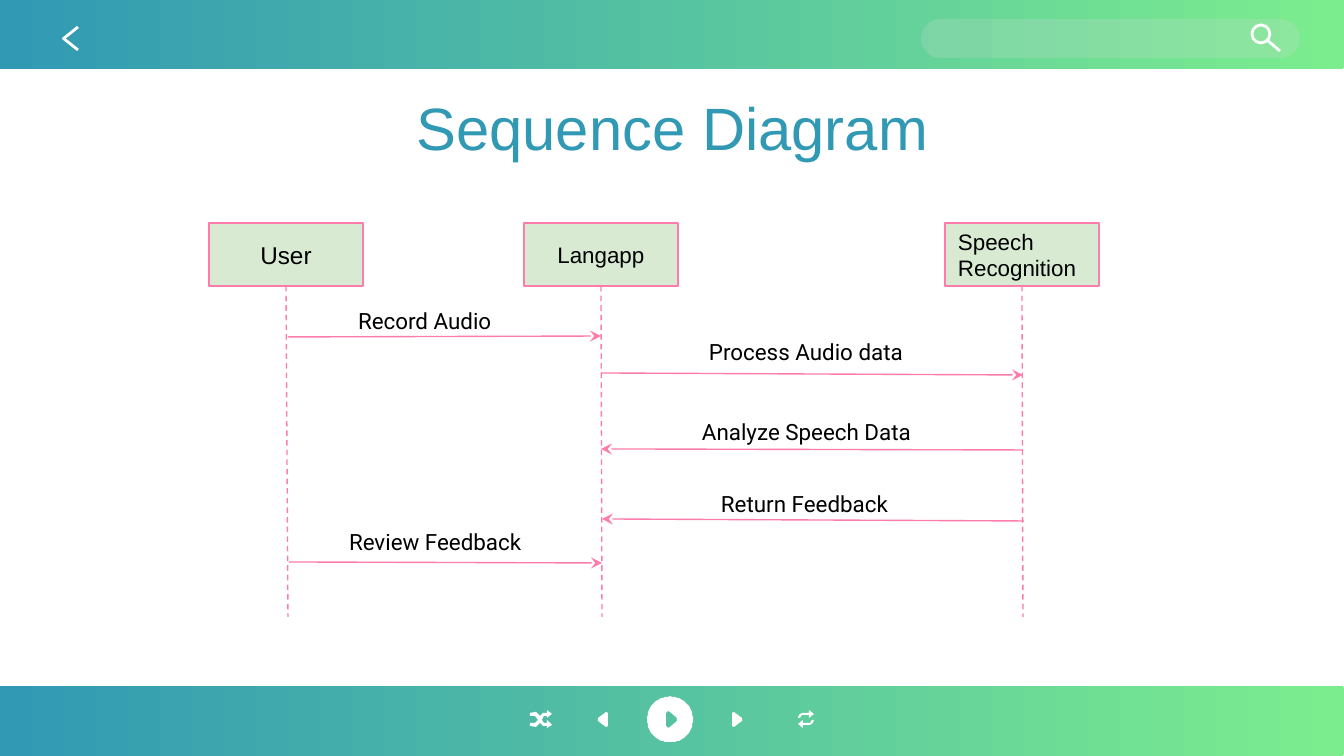
import math
import pptx
import pptx.util
import pptx.dml.color
import pptx.enum.dml
import pptx.enum.shapes
import pptx.enum.text
import pptx.oxml
import pptx.oxml.ns
import pptx.oxml.xmlchemy

PX = 9144000 / 1344
WHITE, PINK, BLACK, TEAL = "FEFEFE", "FF7BAB", "000000", "3199B4"
SHAPE = pptx.enum.shapes.MSO_SHAPE
ANCHOR = pptx.enum.text.MSO_ANCHOR
ALIGN = pptx.enum.text.PP_ALIGN
STRAIGHT = pptx.enum.shapes.MSO_CONNECTOR.STRAIGHT
qn = pptx.oxml.ns.qn
new_element = pptx.oxml.xmlchemy.OxmlElement


def px(*lengths):
    return [pptx.util.Emu(round(length * PX)) for length in lengths]


def rgb(value):
    return pptx.dml.color.RGBColor.from_string(value)


deck = pptx.Presentation()
deck.slide_width, deck.slide_height = px(1344, 756)
slide = deck.slides.add_slide(deck.slide_layouts[5])
shapes = slide.shapes

for bar_top in (-1, 686):
    bar = shapes.add_shape(SHAPE.ROUNDED_RECTANGLE, *px(0, bar_top, 1344, 70))
    bar.adjustments[0] = 0.03
    bar.shadow.inherit = False
    bar.line.fill.background()
    bar.fill.gradient()
    bar.fill.gradient_angle = 180
    for stop, shade in zip(bar.fill.gradient_stops, ("7CED8E", TEAL)):
        stop.color.rgb = rgb(shade)

search_field = shapes.add_shape(SHAPE.ROUNDED_RECTANGLE, *px(921, 19, 379, 39))
search_field.adjustments[0] = 0.5
search_field.shadow.inherit = False
search_field.line.fill.background()
search_field.fill.solid()
search_field.fill.fore_color.rgb = rgb("D9D9D9")
alpha = new_element("a:alpha")
alpha.set("val", "21000")
search_field._element.spPr.find(".//" + qn("a:srgbClr")).append(alpha)

lens = shapes.add_shape(SHAPE.OVAL, *px(1252, 25, 18, 18))
lens.shadow.inherit = False
lens.fill.background()
lens.line.color.rgb = rgb(WHITE)
lens.line.width = pptx.util.Pt(1.5)

previous = [(606, 712), (608, 713), (608, 726), (606, 727), (598, 721), (598, 718)]
following = [(1340 - x, y) for x, y in previous]
play_disc = [(670 + 23 * math.cos(math.radians(a)), 719.5 + 23 * math.sin(math.radians(a)))
             for a in range(0, 360, 6)]
play_mark = [(666, 713), (668, 711), (670, 712), (677, 718),
             (677, 721), (670, 727), (668, 728), (666, 726)]
repeat_top = [(809, 710), (814, 714), (809, 718), (809, 715), (802, 715),
              (800, 718), (798, 718), (799, 715), (802, 713), (809, 713)]
repeat_bottom = [(1612 - x, 1438 - y) for x, y in repeat_top]
shuffle = [(547, 710), (552, 714), (547, 718), (547, 716), (544, 716), (542, 720),
           (544, 723), (547, 723), (547, 720), (552, 725), (547, 728), (547, 726),
           (543, 726), (540, 723), (536, 727), (530, 726), (530, 723), (535, 723),
           (538, 720), (535, 716), (530, 716), (530, 713), (536, 712), (540, 716),
           (543, 713), (547, 713)]
for outlines in ([shuffle], [previous], [play_disc, play_mark], [following],
                 [repeat_top], [repeat_bottom]):
    builder = shapes.build_freeform(*outlines[0][0], scale=PX)
    builder.add_line_segments(outlines[0][1:], close=True)
    for hole in outlines[1:]:
        builder.move_to(*hole[0])
        builder.add_line_segments(hole[1:], close=True)
    control = builder.convert_to_shape()
    control.shadow.inherit = False
    control.fill.solid()
    control.fill.fore_color.rgb = rgb("FFFFFF")
    control.line.fill.background()

title = shapes.title
title.left, title.top, title.width, title.height = px(241, 71, 863, 94)
title.text_frame.text = "Sequence Diagram"

participants = []
for left, participant, size, align in (
    (209, "User", 13, ALIGN.CENTER),
    (524, "Langapp", 12, ALIGN.CENTER),
    (945, "Speech Recognition", 12, ALIGN.LEFT),
):
    box = shapes.add_shape(SHAPE.RECTANGLE, *px(left, 223, 154, 63))
    box.shadow.inherit = False
    box.fill.solid()
    box.fill.fore_color.rgb = rgb("D9EAD3")
    box.line.color.rgb = rgb(PINK)
    box.line.width = pptx.util.Pt(0.75)
    box.text_frame.text = participant
    participants.append((box, size, align))

messages = []
for left, top, width, message in (
    (345, 294, 199, "Record Audio"),
    (336, 515, 257, "Review Feedback"),
    (696, 325, 249, "Process Audio data"),
    (689, 405, 347, "Analyze Speech Data"),
    (708, 477, 271, "Return Feedback"),
):
    label = shapes.add_textbox(*px(left, top, width, 54))
    label.text_frame.text = message
    messages.append(label)

texts = [(title, 32, "Arial", TEAL, ALIGN.CENTER, ANCHOR.TOP)]
texts += [(box, size, "Arial", BLACK, align, ANCHOR.MIDDLE) for box, size, align in participants]
texts += [(label, 12, "Roboto", BLACK, ALIGN.LEFT, ANCHOR.TOP) for label in messages]
for holder, size, face, shade, align, anchor in texts:
    frame = holder.text_frame
    frame.word_wrap = True
    frame.vertical_anchor = anchor
    frame.margin_left, frame.margin_top, frame.margin_right, frame.margin_bottom = px(13, 13, 13, 13)
    paragraph = frame.paragraphs[0]
    paragraph.alignment = align
    font = paragraph.runs[0].font
    font.size = pptx.util.Pt(size)
    font.name = face
    font.color.rgb = rgb(shade)
title.text_frame.paragraphs[0].line_spacing = 1.1

strokes = [((1267, 40, 1280, 51), WHITE, 1.5, None, None),
           ((63, 39, 78, 27), WHITE, 1.5, None, None),
           ((63, 38, 78, 50), WHITE, 1.5, None, None)]
for (box, _, _), foot in zip(participants, (288, 602, 1023)):
    strokes.append(((foot, 286, foot, 617), PINK, 0.75, box, None))
for ends in ((288, 337, 601, 336), (289, 562, 602, 563), (601, 373, 1023, 375),
             (1023, 450, 601, 449), (1024, 521, 602, 519)):
    strokes.append((ends, PINK, 0.75, None, "stealth"))

for ends, shade, weight, participant_box, arrowhead in strokes:
    stroke = shapes.add_connector(STRAIGHT, *px(*ends))
    stroke.line.color.rgb = rgb(shade)
    stroke.line.width = pptx.util.Pt(weight)
    properties = stroke._element.spPr
    if participant_box is not None:
        stroke.begin_connect(participant_box, 2)
        stroke.line.dash_style = pptx.enum.dml.MSO_LINE.DASH
    if arrowhead:
        tail = new_element("a:tailEnd")
        tail.set("type", arrowhead)
        properties.find(qn("a:ln")).append(tail)
    properties.append(new_element("a:effectLst"))

deck.save("out.pptx")
